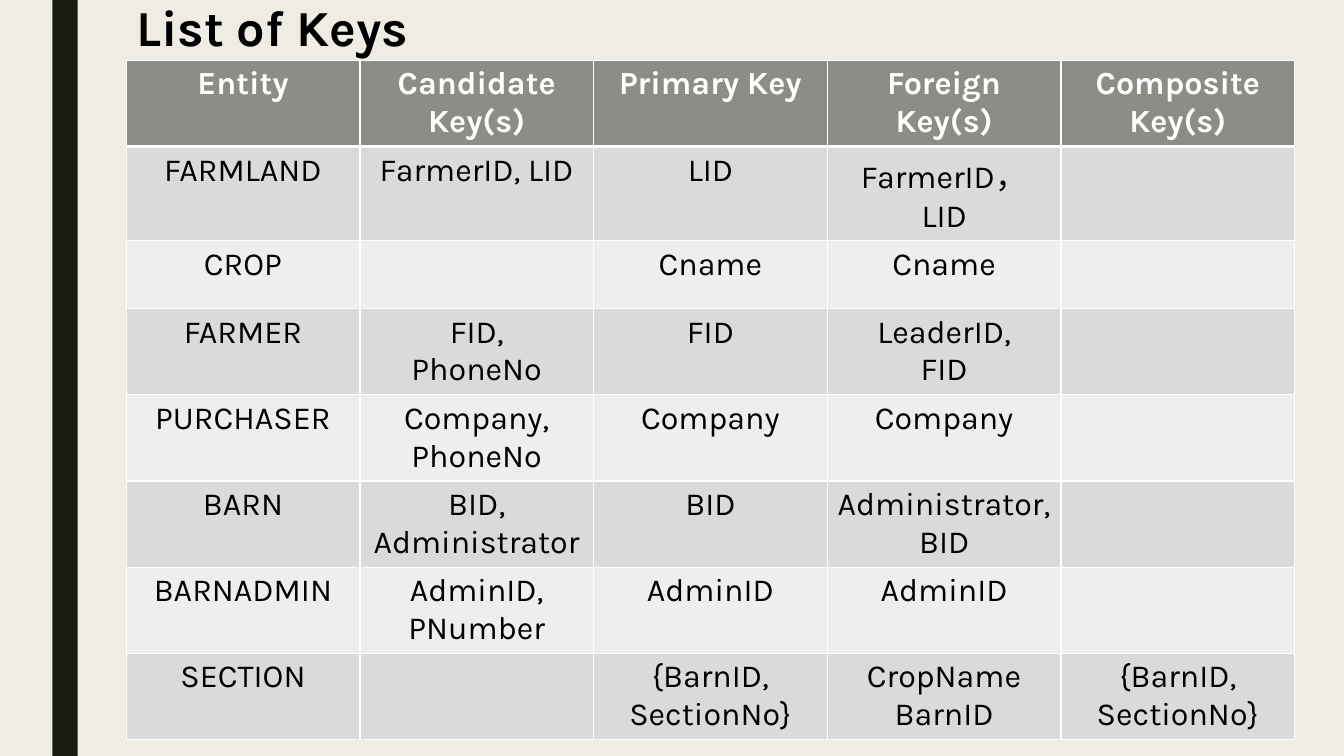
from lxml.etree import SubElement
from pptx import Presentation
from pptx.dml.color import RGBColor
from pptx.enum.shapes import MSO_SHAPE as Preset
from pptx.enum.text import MSO_ANCHOR as Anchor, PP_ALIGN as Align
from pptx.oxml.ns import qn
from pptx.util import Cm, Pt

HEADER = ["Entity", "Candidate Key(s)", "Primary Key", "Foreign Key(s)", "Composite Key(s)"]
ENTITIES = [
    ["FARMLAND", "FarmerID, LID", "LID", "FarmerID，\nLID", ""],
    ["CROP", "", "Cname", "Cname", ""],
    ["FARMER", "FID,\nPhoneNo", "FID", "LeaderID,\nFID", ""],
    ["PURCHASER", "Company,\nPhoneNo", "Company", "Company", ""],
    ["BARN", "BID, Administrator", "BID", "Administrator,\nBID", ""],
    ["BARNADMIN", "AdminID,\nPNumber", "AdminID", "AdminID", ""],
    ["SECTION", "", "{BarnID, SectionNo}", "CropName\nBarnID", "{BarnID, SectionNo}"],
]
COLUMN_WIDTH = 5.89
ROW_HEIGHT = 2.17
CROP_ROW, CROP_HEIGHT = 2, 1.71


def color(hex_string):
    return RGBColor.from_string(hex_string)


def write_text(frame, text, size=23, ink="000000", bold=False, align=Align.CENTER, font="Karla"):
    """Fill a text frame, one paragraph for each line of text."""
    frame.word_wrap = True
    frame.text = text
    for paragraph in frame.paragraphs:
        paragraph.alignment = align
        paragraph.line_spacing = 1.0
        paragraph.space_before = paragraph.space_after = Pt(0)
        paragraph.font.size = Pt(size)
        for run in paragraph.runs:
            run.font.name = font
            run.font.size = Pt(size)
            run.font.bold = bold
            run.font.color.rgb = color(ink)


def set_borders(cell, bottom=1, ink="FFFFFF", **widths):
    """Draw the four cell borders, in points; they must precede the fill."""
    properties = cell._tc.get_or_add_tcPr()
    sides = {"L": 1, "R": 1, "T": widths.get("top", 1), "B": bottom}
    for side, width in sides.items():
        line = SubElement(properties, qn(f"a:ln{side}"), w=str(Pt(width)))
        fill = SubElement(line, qn("a:solidFill"))
        SubElement(fill, qn("a:srgbClr"), val=ink)


class SlideBuilder:
    header_fill = "8C8D86"
    band_fills = ["EEEEED", "DADBD9"]

    def __init__(self, presentation, background):
        self.slide = presentation.slides.add_slide(presentation.slide_layouts[5])
        fill = self.slide.background.fill
        fill.solid()
        fill.fore_color.rgb = color(background)

    def bar(self, left, top, width, height, fill):
        shape = self.slide.shapes.add_shape(
            Preset.RECTANGLE, Cm(left), Cm(top), Cm(width), Cm(height))
        shape.shadow.inherit = False
        shape.fill.solid()
        shape.fill.fore_color.rgb = color(fill)
        shape.line.fill.background()

    def title(self, text, left, top, width, height):
        shape = self.slide.shapes.title
        shape.left, shape.top = Cm(left), Cm(top)
        shape.width, shape.height = Cm(width), Cm(height)
        shape.text_frame.vertical_anchor = Anchor.TOP
        write_text(shape.text_frame, text, size=36, bold=True, align=Align.LEFT)

    def table(self, rows, left, top):
        heights = [CROP_HEIGHT if i == CROP_ROW else ROW_HEIGHT for i in range(len(rows))]
        table = self.slide.shapes.add_table(
            len(rows), len(rows[0]), Cm(left), Cm(top),
            Cm(COLUMN_WIDTH * len(rows[0])), Cm(sum(heights))).table
        for column in table.columns:
            column.width = Cm(COLUMN_WIDTH)
        for i, texts in enumerate(rows):
            table.rows[i].height = Cm(heights[i])
            for cell, text in zip(table.rows[i].cells, texts):
                self.cell(cell, text, i)

    def cell(self, cell, text, row):
        is_header = row == 0
        set_borders(cell, top=3 if row == 1 else 1, bottom=3 if is_header else 1)
        cell.fill.solid()
        cell.fill.fore_color.rgb = color(
            self.header_fill if is_header else self.band_fills[row % 2])
        write_text(cell.text_frame, text, bold=is_header,
                   ink="FFFFFF" if is_header else "000000")


def main():
    presentation = Presentation()
    presentation.slide_width, presentation.slide_height = Cm(33.87), Cm(19.05)
    builder = SlideBuilder(presentation, background="EFEDE3")
    builder.bar(1.32, 0, 0.64, 19.05, fill="191B0E")
    builder.title("List of Keys", 3.18, -0.23, 10.41, 1.8)
    builder.table([HEADER] + ENTITIES, 3.18, 1.52)
    presentation.save("out.pptx")


if __name__ == "__main__":
    main()
